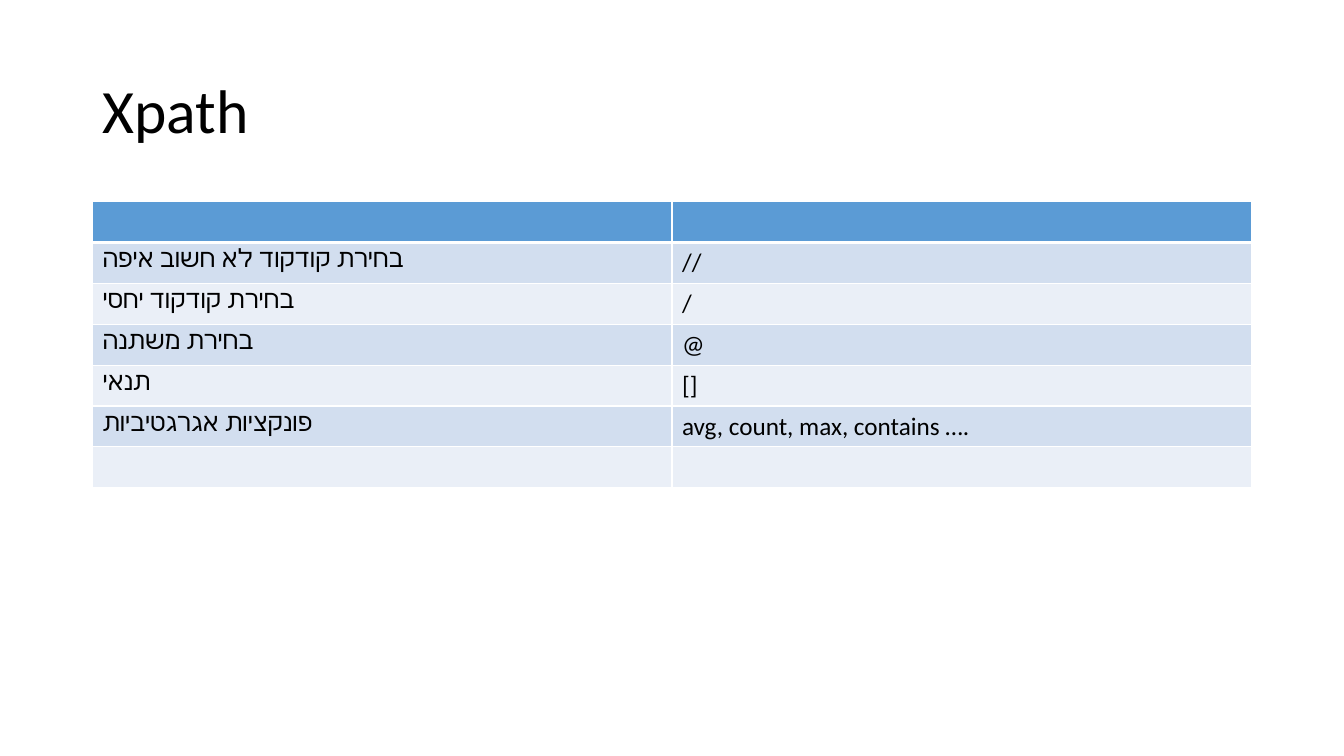
from lxml.etree import SubElement as Sub
from pptx import Presentation
from pptx.dml.color import RGBColor as Rgb
from pptx.enum.text import MSO_ANCHOR as Anchor, PP_ALIGN as Align
from pptx.oxml.ns import qn
from pptx.util import Cm, Pt

COLORS = {
    "text": "000000",
    "head": "5B9BD5",
    "dark": "D2DEEF",
    "light": "EAEFF7",
    "line": "FFFFFF",
}
ROWS = [
    ("", ""),
    ("בחירת קודקוד לא חשוב איפה", "//"),
    ("בחירת קודקוד יחסי", "/"),
    ("בחירת משתנה", "@"),
    ("תנאי", "[]"),
    ("פונקציות אגרגטיביות", "avg, count, max, contains …."),
    ("", ""),
]


class Deck:
    font = "Calibri"

    def __init__(self):
        self.prs = Presentation()
        self.prs.slide_width = Cm(33.87)
        self.prs.slide_height = Cm(19.05)
        self.slide = self.prs.slides.add_slide(self.prs.slide_layouts[5])

    def style(self, frame, size):
        for para in frame.paragraphs:
            para.alignment = Align.LEFT
            for item in [para, *para.runs]:
                item.font.name = self.font
                item.font.size = Pt(size)
                item.font.color.rgb = Rgb.from_string(COLORS["text"])

    def title(self, text, left, top, width, height):
        box = self.slide.shapes.title
        box.left, box.top = Cm(left), Cm(top)
        box.width, box.height = Cm(width), Cm(height)
        frame = box.text_frame
        frame.text = text
        frame.vertical_anchor = Anchor.MIDDLE
        frame.paragraphs[0].line_spacing = 0.9
        self.style(frame, 44)

    def border(self, cell, widths):
        props = cell._tc.get_or_add_tcPr()
        for spot, (side, width) in enumerate(widths.items()):
            line = Sub(props, qn(f"a:ln{side}"), w=str(Pt(width)))
            fill = Sub(line, qn("a:solidFill"))
            Sub(fill, qn("a:srgbClr"), val=COLORS["line"])
            props.insert(spot, line)

    def table(self, rows, left, top, width, height):
        frame = self.slide.shapes.add_table(
            len(rows), len(rows[0]), Cm(left), Cm(top), Cm(width), Cm(height)
        )
        grid = frame.table
        for i, row in enumerate(rows):
            tone = "head" if i == 0 else "dark" if i % 2 else "light"
            edges = {"L": 1, "R": 1, "T": 3 if i == 1 else 1, "B": 1 if i else 3}
            for j, text in enumerate(row):
                cell = grid.cell(i, j)
                cell.text_frame.text = text
                self.style(cell.text_frame, 18)
                cell.fill.solid()
                cell.fill.fore_color.rgb = Rgb.from_string(COLORS[tone])
                self.border(cell, edges)


def main():
    deck = Deck()
    deck.title("Xpath", 2.33, 1.01, 29.21, 3.68)
    deck.table(ROWS, 2.33, 5.08, 29.21, 7.21)
    deck.prs.save("out.pptx")


if __name__ == "__main__":
    main()
